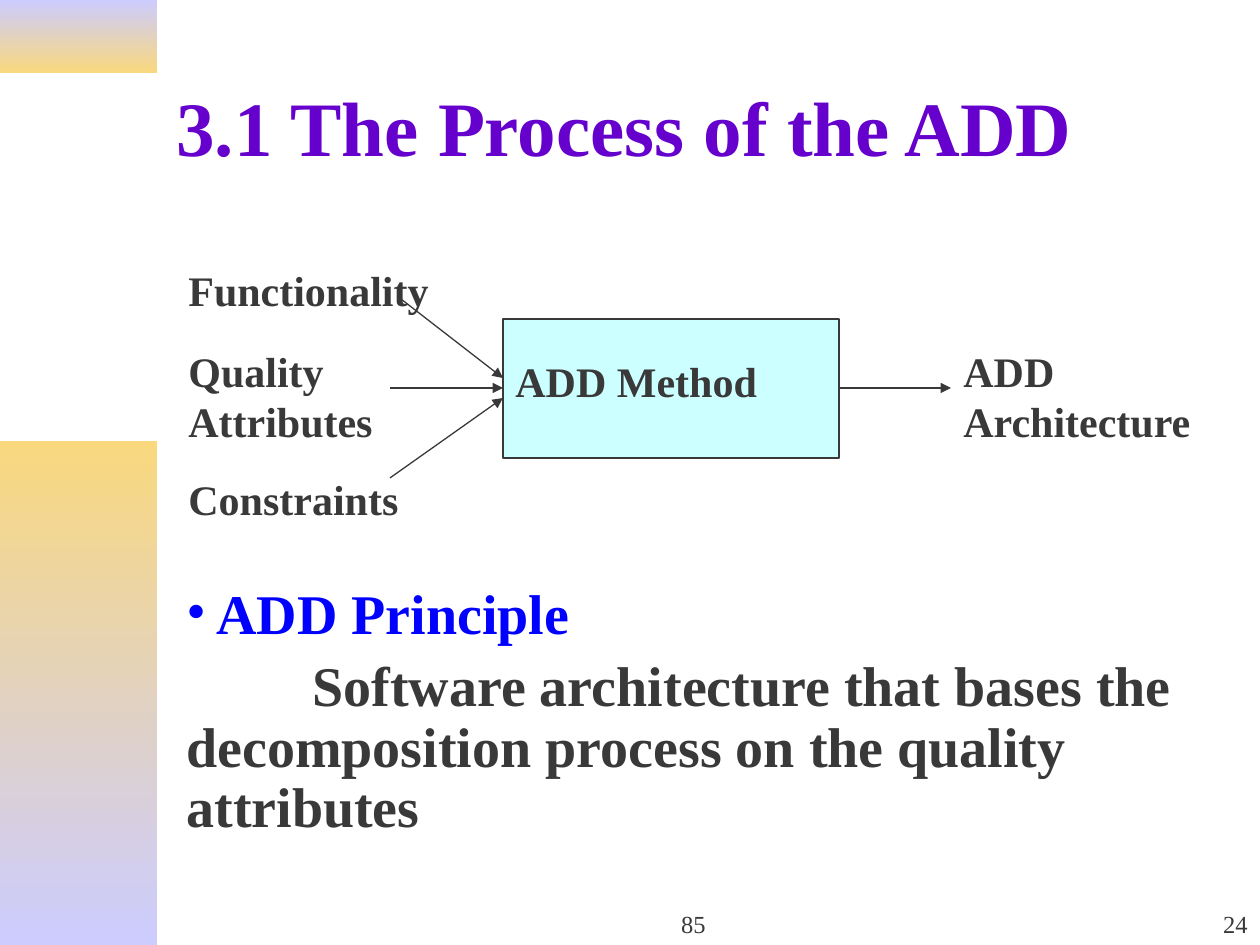
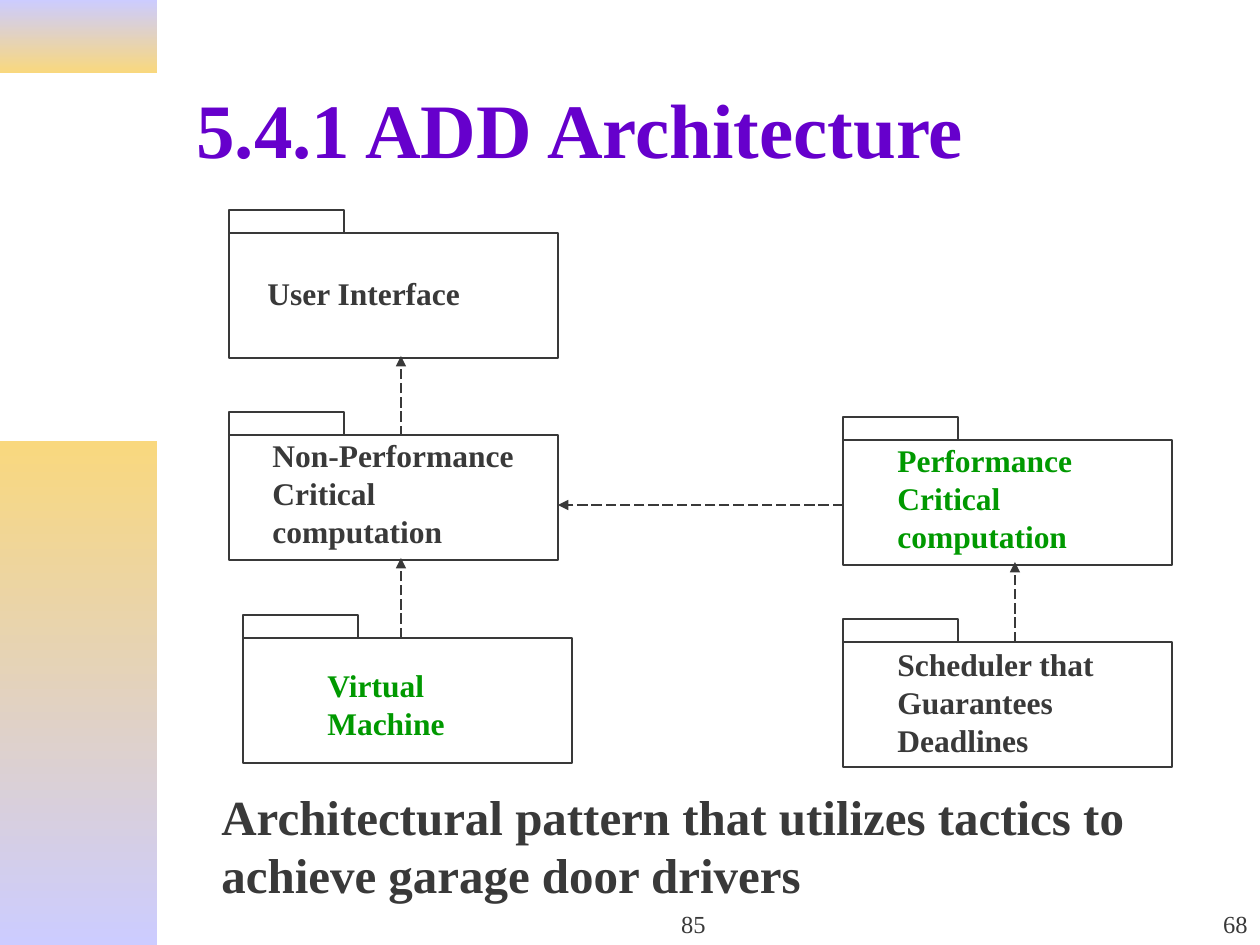
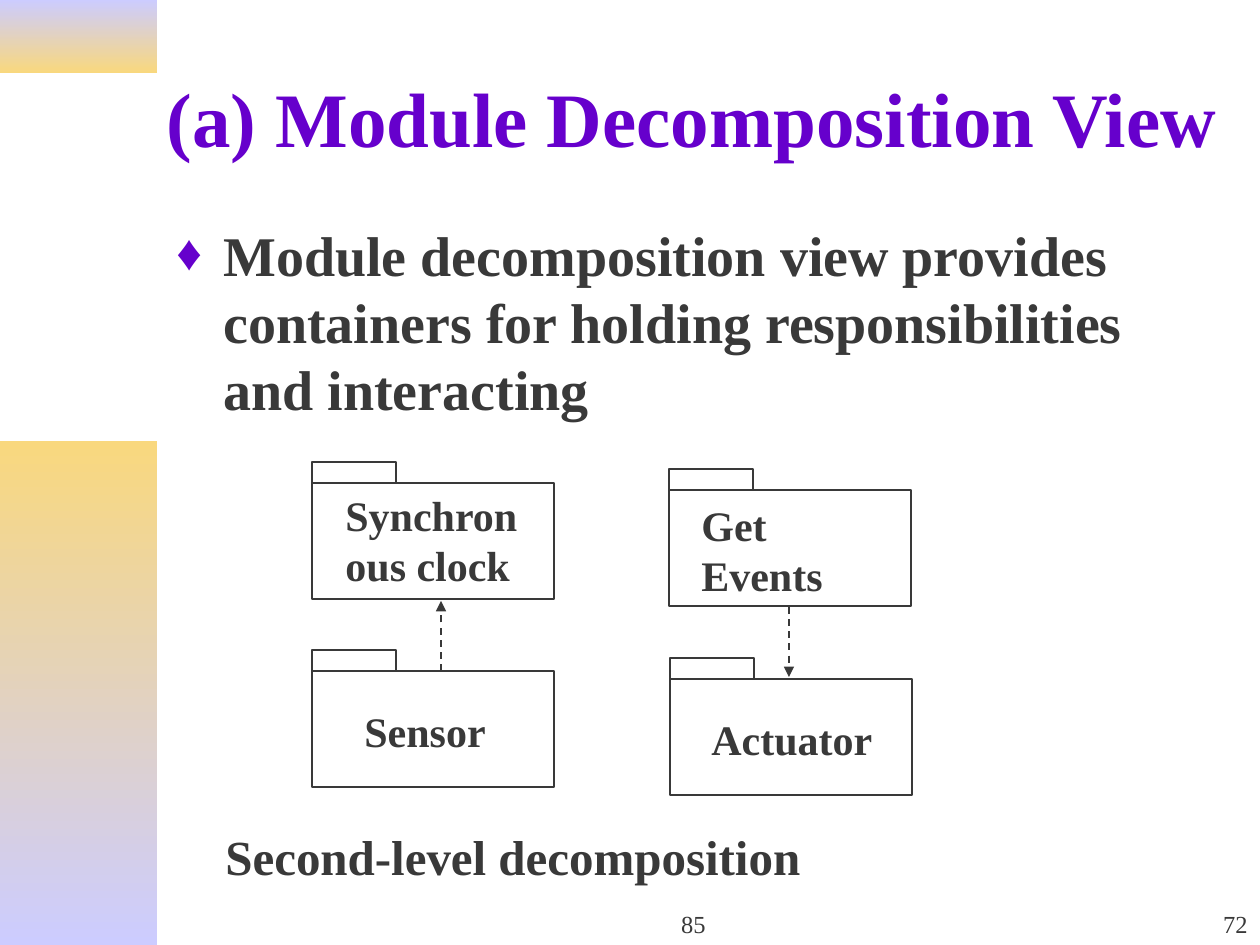
"""Build three slides on the ADD method and its module views."""
from lxml.etree import SubElement
from pptx import Presentation
from pptx.dml.color import RGBColor
from pptx.enum.dml import MSO_LINE
from pptx.enum.shapes import MSO_CONNECTOR, MSO_SHAPE
from pptx.enum.text import MSO_ANCHOR, PP_ALIGN
from pptx.oxml.ns import qn
from pptx.util import Pt

PX = 914400 / 126
FACE = "Times New Roman"
INK = RGBColor(0x39, 0x39, 0x39)
PURPLE = RGBColor(0x66, 0x00, 0xCC)
BLUE = RGBColor(0x00, 0x00, 0xFF)
GREEN = RGBColor(0x00, 0x99, 0x00)
CYAN = RGBColor(0xCC, 0xFF, 0xFF)
LILAC = RGBColor(0xCC, 0xCC, 0xFF)
GOLD = RGBColor(0xF9, 0xD8, 0x7E)


def px(*nums):
    return [round(num * PX) for num in nums]


def write(slide, text, area, size=24, color=INK, bold=True, align=PP_ALIGN.LEFT,
          anchor=MSO_ANCHOR.TOP, left=0, first=0, mark=None, tint=PURPLE, scale=100,
          pitch=1.2, before=0, frame=None):
    if frame is None:
        frame = slide.shapes.add_textbox(*px(*area)).text_frame
        frame.word_wrap = True
        frame.vertical_anchor = anchor
        para = frame.paragraphs[0]
    else:
        para = frame.add_paragraph()
    para.alignment = align
    para.line_spacing = Pt(size * pitch)
    para.space_before = Pt(before)
    props = para._p.get_or_add_pPr()
    props.set("marL", str(px(left)[0]))
    props.set("indent", str(px(first)[0]))
    if mark:
        hue = SubElement(props, qn("a:buClr"))
        SubElement(hue, qn("a:srgbClr"), val=str(tint))
        SubElement(props, qn("a:buSzPct"), val=str(scale * 1000))
        SubElement(props, qn("a:buFont"), typeface=FACE)
        SubElement(props, qn("a:buChar"), char=mark)
    run = para.add_run()
    run.text = text
    font = run.font
    font.name, font.size, font.bold = FACE, Pt(size), bold
    font.color.rgb = color
    return frame


deck = Presentation()
deck.slide_width, deck.slide_height = px(1260, 945)

bands = [((0, 0, 157, 73), (LILAC, GOLD)), ((0, 441, 157, 504), (GOLD, LILAC))]
heads = [
    ("3.1 The Process of the ADD", (164, 35, 1037, 182), "24"),
    ("5.4.1 ADD Architecture", (184, 44, 1031, 167), "68"),
    ("(a) Module Decomposition View", (154, 26, 1091, 182), "72"),
]
slides = []
for title, area, page in heads:
    slide = deck.slides.add_slide(deck.slide_layouts[6])
    slides.append(slide)
    for place, hues in bands:
        band = slide.shapes.add_shape(MSO_SHAPE.RECTANGLE, *px(*place))
        band.shadow.inherit = False
        band.line.fill.background()
        band.fill.gradient()
        band.fill.gradient_angle = 270
        for stop, hue in zip(band.fill.gradient_stops, hues):
            stop.color.rgb = hue
    write(slide, title, area, size=44, color=PURPLE, anchor=MSO_ANCHOR.MIDDLE)
    write(slide, "85", (494, 882, 399, 63), size=14, bold=False,
          align=PP_ALIGN.CENTER, anchor=MSO_ANCHOR.BOTTOM)
    write(slide, page, (998, 882, 262, 63), size=14, bold=False,
          align=PP_ALIGN.RIGHT, anchor=MSO_ANCHOR.BOTTOM)
process, layers, modules = slides

boxes = [(process, (503, 319, 336, 139), CYAN)]
packs = [
    (layers, (329, 125), (115, 23),
     [(229, 210), (229, 412), (243, 615), (843, 417), (843, 619)]),
    (modules, (242, 116), (84, 21),
     [(312, 462), (312, 650), (669, 469), (670, 658)]),
]
for slide, body, tab, spots in packs:
    for x, y in spots:
        boxes.append((slide, (x, y, *tab), None))
        boxes.append((slide, (x, y + tab[1], *body), None))
for slide, area, hue in boxes:
    box = slide.shapes.add_shape(MSO_SHAPE.RECTANGLE, *px(*area))
    box.shadow.inherit = False
    box.line.color.rgb = INK
    box.line.width = Pt(0.75)
    if hue:
        box.fill.solid()
        box.fill.fore_color.rgb = hue
    else:
        box.fill.background()

labels = [
    (process, 24, INK, [
        ("Functionality", (176, 258, 270, 63)),
        ("Quality Attributes", (176, 339, 224, 113)),
        ("Constraints", (176, 467, 258, 63)),
        ("ADD Method", (503, 349, 336, 63)),
        ("ADD Architecture", (951, 339, 257, 113))]),
    (layers, 18, INK, [
        ("User Interface", (255, 268, 271, 50)),
        ("Non-Performance Critical computation", (260, 430, 286, 126)),
        ("Scheduler that Guarantees Deadlines", (885, 639, 271, 126))]),
    (layers, 18, GREEN, [
        ("Virtual Machine", (315, 660, 214, 88)),
        ("Performance Critical computation", (885, 435, 244, 126))]),
    (layers, 28, INK, [
        ("Architectural pattern that utilizes tactics to achieve garage door drivers",
         (209, 780, 963, 131))]),
    (modules, 24, INK, [
        ("Synchronous clock", (333, 483, 208, 113)),
        ("Get Events", (689, 493, 208, 113)),
        ("Sensor", (352, 699, 168, 63)),
        ("Actuator", (699, 707, 198, 63))]),
    (modules, 28, INK, [("Second-level decomposition", (213, 820, 764, 72))]),
]
for slide, size, hue, items in labels:
    for text, area in items:
        write(slide, text, area, size=size, color=hue)

frame = write(process, "ADD Principle", (174, 572, 1022, 273), size=32, color=BLUE,
              left=30, first=-30, mark="•", tint=BLUE)
write(process, "Software architecture that bases the decomposition process on the quality "
      "attributes", None, size=32, first=126, pitch=1.08, before=7, frame=frame)
write(modules, "Module decomposition view provides containers for holding responsibilities "
      "and interacting", (164, 214, 1024, 232), size=32, left=47, first=-47,
      mark="♦", scale=90)

links = [
    (process, 0.75, None, [(401, 299, 503, 378), (390, 388, 503, 388),
                           (390, 478, 503, 398), (839, 388, 951, 388)]),
    (layers, 0.75, MSO_LINE.LONG_DASH, [(401, 436, 401, 356), (401, 638, 401, 558),
                                        (1015, 642, 1015, 562), (843, 505, 558, 505)]),
    (modules, 1, MSO_LINE.DASH, [(441, 671, 441, 601), (789, 607, 789, 677)]),
]
for slide, width, dash, ends in links:
    for end in ends:
        link = slide.shapes.add_connector(MSO_CONNECTOR.STRAIGHT, *px(*end))
        link.line.color.rgb = INK
        link.line.width = Pt(width)
        if dash:
            link.line.dash_style = dash
        props = link.element.spPr
        SubElement(props.find(qn("a:ln")), qn("a:tailEnd"), type="triangle")
        SubElement(props, qn("a:effectLst"))

deck.save("out.pptx")
